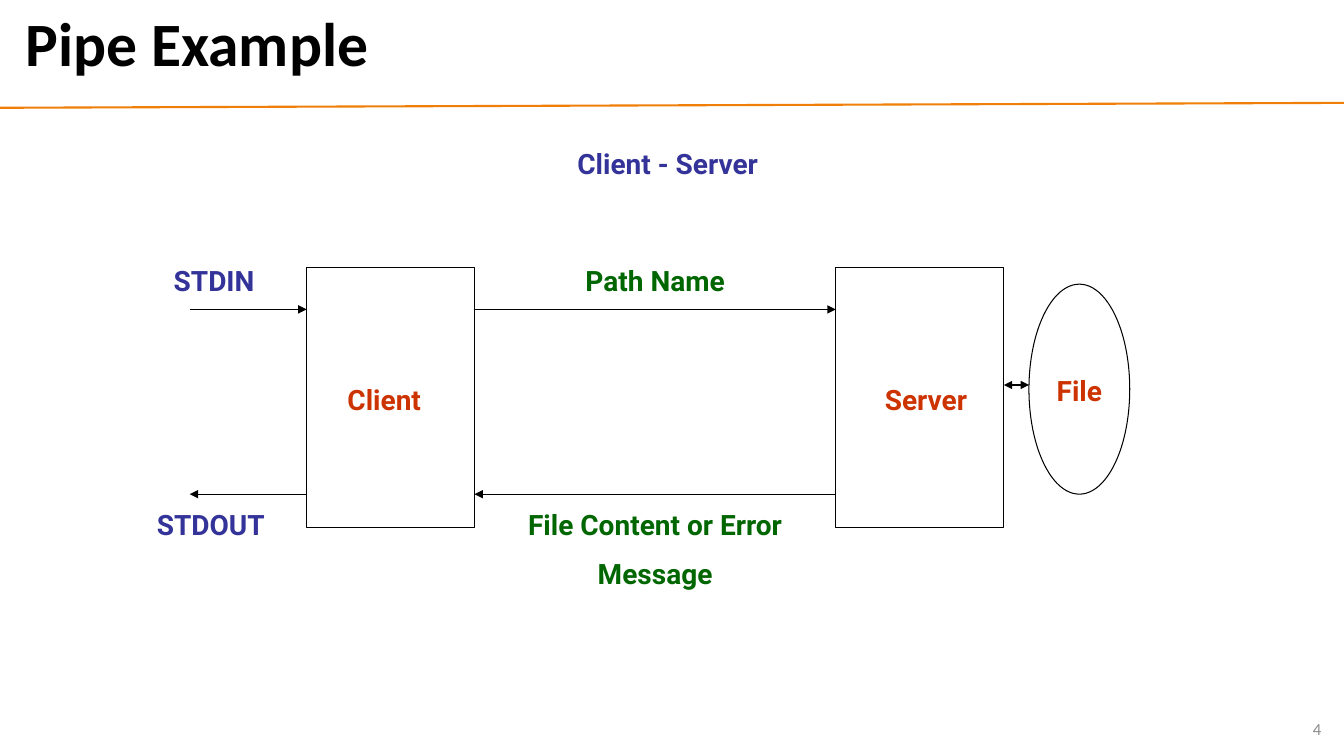
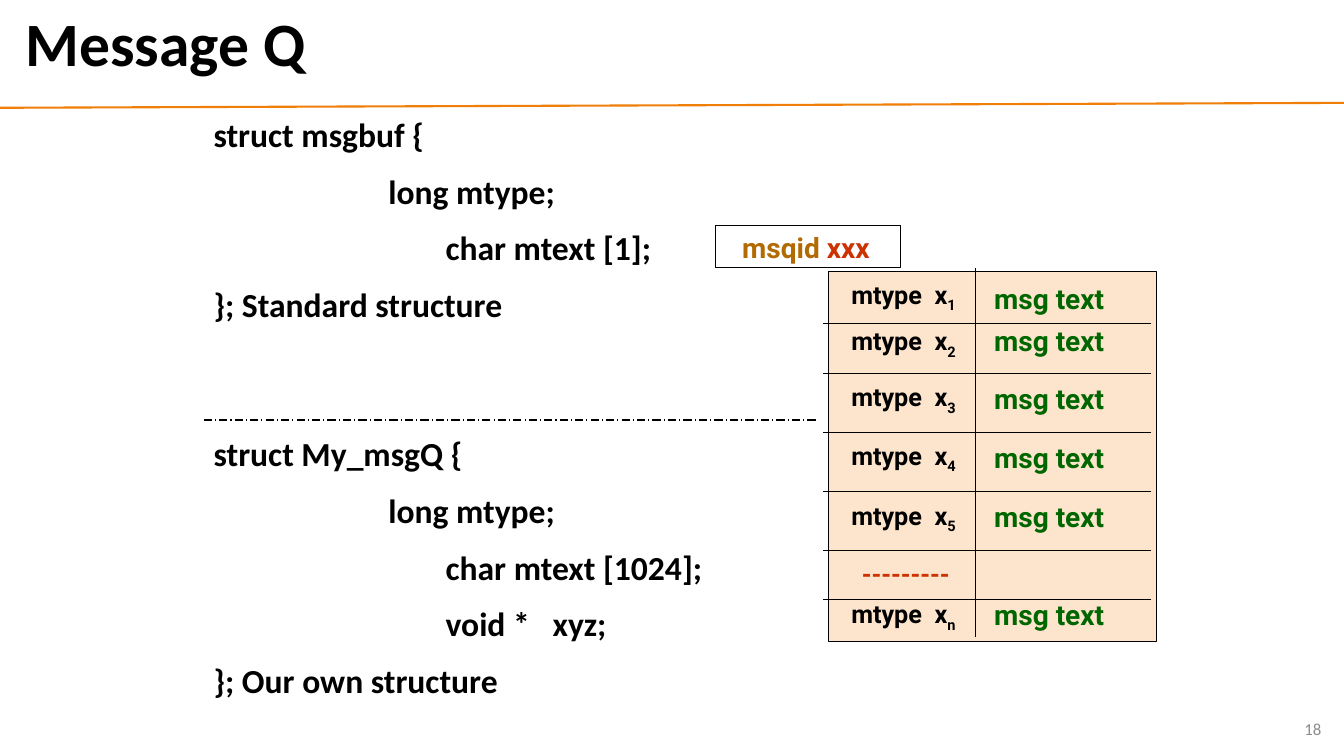
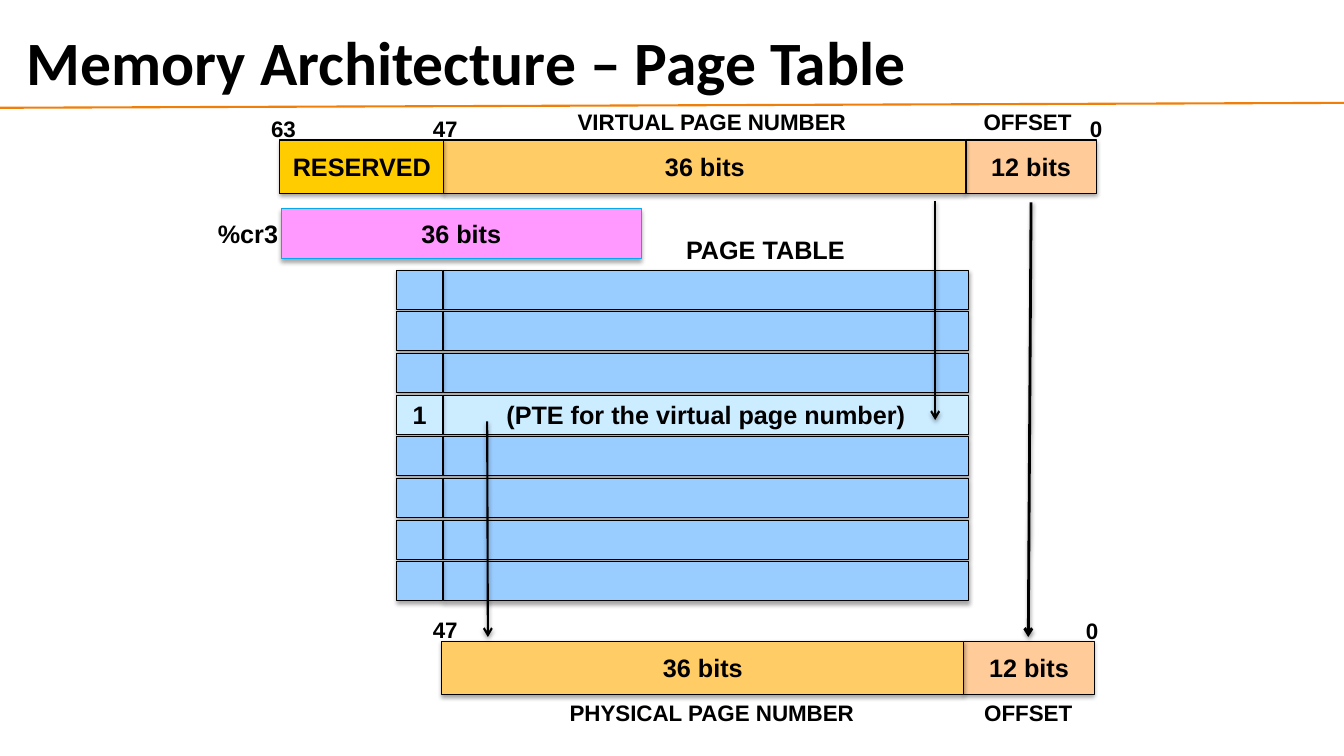
"""Build three slides on pipes, message queues and page tables."""
from lxml import etree
from pptx import Presentation
from pptx.dml.color import RGBColor
from pptx.enum.dml import MSO_LINE
from pptx.enum.shapes import MSO_CONNECTOR, MSO_SHAPE
from pptx.enum.text import MSO_ANCHOR, MSO_AUTO_SIZE, PP_ALIGN
from pptx.oxml.ns import qn
from pptx.util import Pt

LEFT, CENTER, RIGHT = PP_ALIGN.LEFT, PP_ALIGN.CENTER, PP_ALIGN.RIGHT
TOP, MIDDLE = MSO_ANCHOR.TOP, MSO_ANCHOR.MIDDLE
RECT, OVAL = MSO_SHAPE.RECTANGLE, MSO_SHAPE.OVAL
STRAIGHT, DASH_DOT = MSO_CONNECTOR.STRAIGHT, MSO_LINE.LONG_DASH_DOT
NO_FIT = MSO_AUTO_SIZE.NONE

BLACK = RGBColor(0x00, 0x00, 0x00)
GREY = RGBColor(0x8C, 0x8C, 0x8C)
ORANGE = RGBColor(0xF0, 0x7F, 0x09)
RED = RGBColor(0xCC, 0x33, 0x00)
GREEN = RGBColor(0x00, 0x66, 0x00)
INDIGO = RGBColor(0x33, 0x33, 0x99)
BROWN = RGBColor(0xB2, 0x6B, 0x02)
CREAM = RGBColor(0xFD, 0xE5, 0xCD)
PEACH = RGBColor(0xFF, 0xCC, 0x99)
AMBER = RGBColor(0xFF, 0xCC, 0x66)
GOLD = RGBColor(0xFF, 0xCC, 0x00)
SKY = RGBColor(0x99, 0xCC, 0xFF)
PALE_SKY = RGBColor(0xCC, 0xEC, 0xFF)
PINK = RGBColor(0xFF, 0x99, 0xFF)
CYAN = RGBColor(0x00, 0xAC, 0xEB)

BOX_SHADOW = (35, 1.8)
LINE_SHADOW = (38, 1.6)

PIPE_BOXES = [
    (RECT, (219, 191, 120, 186)),
    (RECT, (597, 191, 120, 186)),
    (OVAL, (735, 203, 72, 150)),
]
PIPE_ARROWS = [
    (339, 597, 221, None, "triangle"),
    (339, 597, 353, "triangle", None),
    (135.5, 219, 221, None, "triangle"),
    (135.5, 219, 353, "triangle", None),
    (717, 735, 275, "triangle", "triangle"),
]
PIPE_LABELS = [
    ("Client", (223.5, 269.5, 102, 31), RED, CENTER),
    ("Server", (610.5, 269.5, 102, 31), RED, CENTER),
    ("File", (741, 263, 60, 31), RED, CENTER),
    ("Path Name", (357, 185, 222, 31), GREEN, CENTER),
    ("File Content or Error\nMessage", (345, 359, 246, 67), GREEN, CENTER),
    ("STDIN", (117, 185, 96, 31), INDIGO, LEFT),
    ("STDOUT", (105, 359, 108, 31), INDIGO, LEFT),
    ("Client - Server", (234, 101, 486, 31), INDIGO, CENTER),
]

QUEUE_RULES = [231, 267, 309, 351, 393, 428]
QUEUE_ROWS = [
    ("1", 196, 197.5),
    ("2", 229, 227.5),
    ("3", 269, 269),
    ("4", 311, 311),
    ("5", 353.5, 353.5),
    ("n", 424, 423.5),
]
STANDARD_STRUCT = """struct msgbuf {
                       long mtype;
\t\t    char mtext [1];
}; Standard structure"""
OWN_STRUCT = """struct My_msgQ {
                       long mtype;
\t\t    char mtext [1024];
\t\t    void *   xyz;
}; Our own structure"""

ADDRESS_FIELDS = [
    ("12 bits", 690, 100, 93, PEACH),
    ("36 bits", 317, 100, 373, AMBER),
    ("RESERVED", 200, 100, 117, GOLD),
    ("12 bits", 688.5, 458, 93, PEACH),
    ("36 bits", 315.5, 458, 373, AMBER),
]
ADDRESS_LABELS = [
    ("VIRTUAL PAGE NUMBER", 360, 73.5, 297),
    ("OFFSET", 692, 73.5, 84),
    ("0", 765, 78.5, 36),
    ("47", 297, 78.5, 42),
    ("47", 297, 436.5, 42),
    ("63", 181.5, 78.5, 42),
    ("0", 759, 437, 42),
    ("PHYSICAL PAGE NUMBER", 360, 496, 297),
    ("OFFSET", 692.5, 496, 84),
]
PAGE_TABLE = [("", "")] * 3 + [("1", "(PTE for the virtual page number)")] + [("", "")] * 4
TABLE_TOP, TABLE_PITCH = 193, 29.75
PAGE_ARROWS = [
    ((736.5, 144.5), (734.5, 455), 2),
    ((668, 143.5), (668, 300), 1.5),
    ((348, 301), (348.5, 455), 1.5),
]


def pts(values):
    """Turn numbers into point lengths."""
    return [Pt(v) for v in values]


def write(tf, text, *, size=18, font="Calibri", color=BLACK, bold=True, align=LEFT,
          anchor=TOP, wrap=True, gap=0, spacing=None, tabs=()):
    """Fill a frame from a string, or from (text, color, is_subscript) runs."""
    tf.word_wrap, tf.auto_size, tf.vertical_anchor = wrap, NO_FIT, anchor
    lines = text.split("\n") if isinstance(text, str) else [text]
    for i, line in enumerate(lines):
        p = tf.add_paragraph() if i else tf.paragraphs[0]
        if tabs:
            stops = etree.SubElement(p._p.get_or_add_pPr(), qn("a:tabLst"))
            for pos in tabs:
                etree.SubElement(stops, qn("a:tab"), pos=str(Pt(pos)), algn="l")
        p.alignment = align
        if i and gap:
            p.space_before = Pt(gap)
        if spacing:
            p.line_spacing = spacing
        for words, tint, sub in [(line, color, False)] if isinstance(line, str) else line:
            r = p.add_run()
            r.text = words
            r.font.size, r.font.name, r.font.bold = Pt(size), font, bold
            r.font.color.rgb = tint
            if sub:
                r._r.get_or_add_rPr().set("baseline", "-25000")


def label(s, text, at, **fmt):
    """Add a text box."""
    write(s.shapes.add_textbox(*pts(at)).text_frame, text, **fmt)


def cast_shadow(effects, strength, distance):
    """Add a soft shadow straight below."""
    shadow = etree.SubElement(effects, qn("a:outerShdw"), blurRad=str(Pt(3.1)),
                              dist=str(Pt(distance)), dir="5400000", rotWithShape="0")
    tint = etree.SubElement(shadow, qn("a:srgbClr"), val=str(BLACK))
    etree.SubElement(tint, qn("a:alpha"), val=str(strength * 1000))


def box(s, at, *, kind=RECT, fill=None, line=BLACK, shadow=None, text=""):
    """Add an outlined shape with optional fill, shadow and centred text."""
    sp = s.shapes.add_shape(kind, *pts(at))
    sp.shadow.inherit = False
    if fill is None:
        sp.fill.background()
    else:
        sp.fill.solid()
        sp.fill.fore_color.rgb = fill
    sp.line.color.rgb = line
    sp.line.width = Pt(0.75)
    if shadow:
        cast_shadow(sp._element.spPr.find(qn("a:effectLst")), *shadow)
    if text:
        write(sp.text_frame, text, font="Arial", align=CENTER, anchor=MIDDLE, wrap=False)


def connect(s, start, end, *, color=BLACK, width=0.75, dash=None, head=None, tail=None,
            shadow=None):
    """Add a straight line with optional arrowheads."""
    c = s.shapes.add_connector(STRAIGHT, *pts(start + end))
    c.line.color.rgb = color
    c.line.width = Pt(width)
    if dash:
        c.line.dash_style = dash
    spPr = c._element.spPr
    for tag, tip in (("a:headEnd", head), ("a:tailEnd", tail)):
        if tip:
            etree.SubElement(spPr.find(qn("a:ln")), qn(tag), type=tip)
    effects = etree.SubElement(spPr, qn("a:effectLst"))
    if shadow:
        cast_shadow(effects, *shadow)


def new_slide(prs, title, *, at=(11, 3.5, 928, 60), spacing=0.9, number=None):
    """Add a slide with the shared rule, title and page number."""
    s = prs.slides.add_slide(prs.slide_layouts[5])
    connect(s, (0, 77), (960, 73.5), color=ORANGE, width=1.5)
    sp = s.shapes.title
    sp.left, sp.top, sp.width, sp.height = pts(at)
    write(sp.text_frame, title, size=44, anchor=MIDDLE, spacing=spacing)
    if number:
        label(s, number, (735, 506, 216, 29), size=12, color=GREY, bold=False,
              align=RIGHT, anchor=MIDDLE)
    return s


def pipe_slide(prs):
    """Draw the client and server joined by pipes."""
    s = new_slide(prs, "Pipe Example", number="4")
    for kind, at in PIPE_BOXES:
        box(s, at, kind=kind)
    for x1, x2, y, head, tail in PIPE_ARROWS:
        connect(s, (x1, y), (x2, y), head=head, tail=tail)
    for text, at, color, align in PIPE_LABELS:
        label(s, text, at, size=20, font="Roboto", color=color, align=align, gap=11)


def queue_slide(prs):
    """Draw the message queue beside its structures."""
    s = new_slide(prs, "Message Q", number="18")
    box(s, (592, 194, 234, 264), fill=CREAM)
    connect(s, (697, 191.5), (697, 455))
    for y in QUEUE_RULES:
        connect(s, (588, y), (822, y))
    box(s, (511, 161, 132, 30))
    label(s, [("msqid ", BROWN, False), ("xxx", RED, False)], (523, 161, 120, 31),
          size=20, font="Roboto")
    for index, type_y, text_y in QUEUE_ROWS:
        label(s, [("mtype\tx", BLACK, False), (index, BLACK, True)],
              (601, type_y, 108, 29), font="Roboto", tabs=[59.5])
        label(s, "msg text", (703, text_y, 132, 31), size=20, font="Roboto", color=GREEN)
    label(s, "---------", (608.5, 395, 100, 29), font="Roboto", color=RED)
    for code, at in ((STANDARD_STRUCT, (145.5, 78, 354, 167)),
                     (OWN_STRUCT, (145.5, 306, 450, 211))):
        label(s, code, at, size=24, gap=11.6, tabs=[72, 144])
    connect(s, (145.5, 300), (584, 300), dash=DASH_DOT)


def page_table_slide(prs):
    """Draw the translation from virtual to physical address."""
    s = new_slide(prs, "Memory Architecture – Page Table", at=(12, 13, 898, 60.5),
                  spacing=1.0)
    for text, x, y, w, fill in ADDRESS_FIELDS:
        box(s, (x, y, w, 38), fill=fill, shadow=BOX_SHADOW, text=text)
    for text, x, y, w in ADDRESS_LABELS:
        label(s, text, (x, y, w, 26.5), size=16, font="Arial", align=CENTER)
    for i, (flag, entry) in enumerate(PAGE_TABLE):
        y = TABLE_TOP + i * TABLE_PITCH
        fill = PALE_SKY if entry else SKY
        box(s, (316.5, y, 375.5, 28), fill=fill, shadow=BOX_SHADOW, text=entry)
        box(s, (283.5, y, 32.5, 28), fill=fill, shadow=BOX_SHADOW, text=flag)
    box(s, (201, 149, 257, 36), fill=PINK, line=CYAN, shadow=BOX_SHADOW, text="36 bits")
    label(s, "%cr3", (148.5, 152.5, 65.5, 29), font="Arial")
    label(s, "PAGE TABLE", (483, 164, 224, 29), font="Arial")
    for start, end, width in PAGE_ARROWS:
        connect(s, start, end, width=width, tail="arrow", shadow=LINE_SHADOW)


def main():
    """Build and save the slides."""
    prs = Presentation()
    prs.slide_width, prs.slide_height = Pt(960), Pt(540)
    for build in (pipe_slide, queue_slide, page_table_slide):
        build(prs)
    prs.save("out.pptx")


if __name__ == "__main__":
    main()
